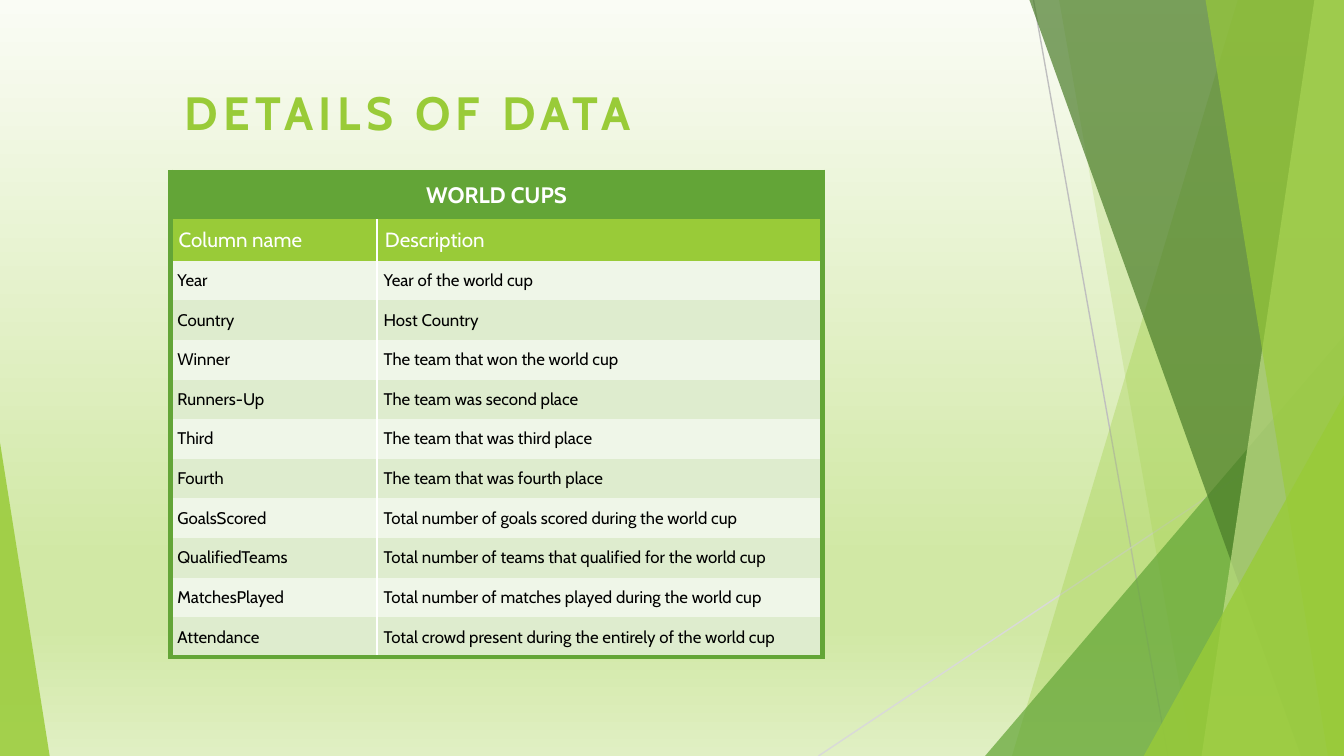
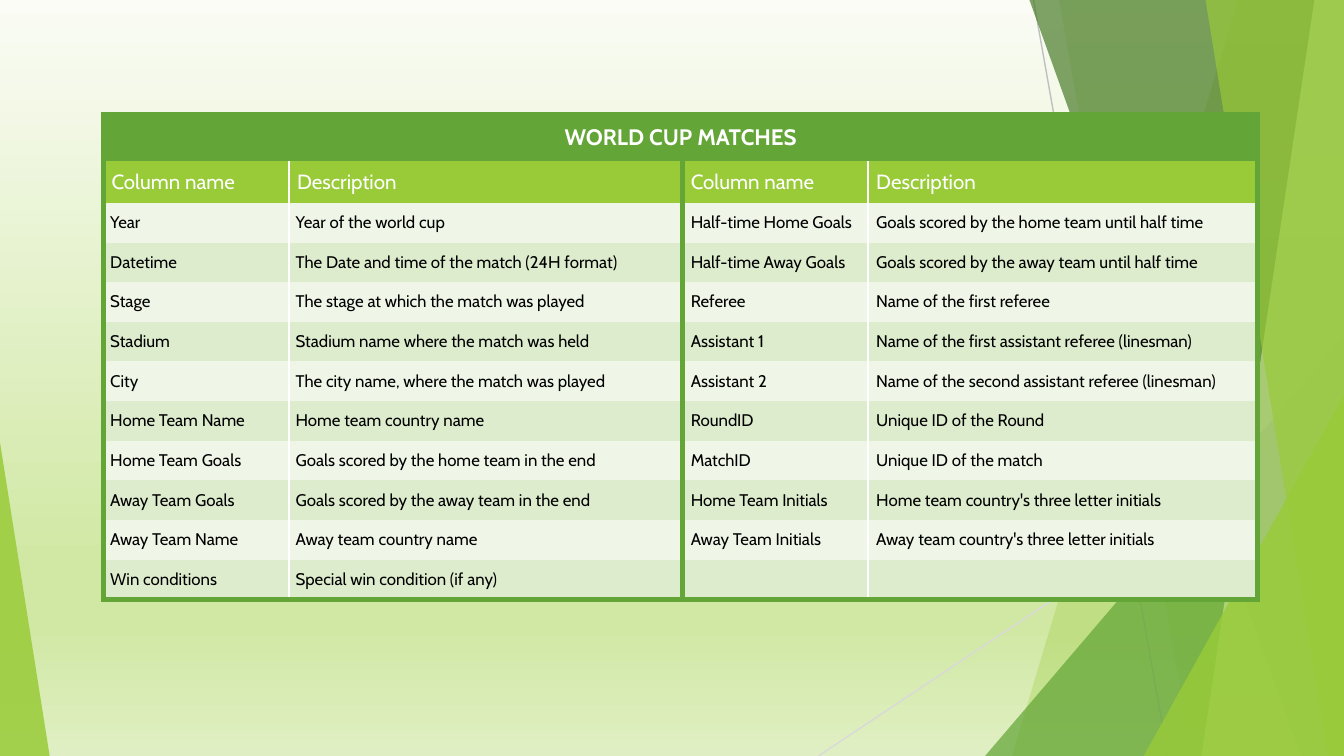
from dataclasses import dataclass

from lxml import etree
from pptx import Presentation
from pptx.dml.color import RGBColor
from pptx.enum.shapes import MSO_CONNECTOR, MSO_SHAPE
from pptx.enum.text import MSO_ANCHOR, MSO_AUTO_SIZE, PP_ALIGN
from pptx.oxml.ns import qn
from pptx.util import Pt

STRAIGHT = MSO_CONNECTOR.STRAIGHT
TRIANGLE = MSO_SHAPE.ISOSCELES_TRIANGLE
MIDDLE = MSO_ANCHOR.MIDDLE
LEFT, CENTER = PP_ALIGN.LEFT, PP_ALIGN.CENTER
NO_FIT = MSO_AUTO_SIZE.NONE

EMU_PER_PX = 4572
W, H = 2000, 1125
TITLE_ONLY, BLANK = 5, 6
PLAIN_TABLE = "{2D5ABB26-0587-4C30-8999-92F81FD0307C}"


@dataclass(frozen=True)
class Theme:
    font: str = "Cabin"
    lime: str = "99CB38"
    green: str = "63A537"
    forest: str = "4A7C29"
    pale: str = "C2E088"
    white: str = "FFFFFF"
    black: str = "000000"
    bands: tuple = ("EFF6E8", "DEECCE")
    rays: tuple = ("BFBFBF", "D9D9D9")
    backdrop: tuple = ((0, "FAFCF5"), (74, "D1E8A5"), (83, "D1E8A5"), (100, "E0EFC3"))
    title_size: int = 25
    caption_size: int = 12
    header_size: int = 11
    body_size: int = 9


T = Theme()

CUP_COLUMNS = [
    ("Year", "Year of the world cup"),
    ("Country", "Host Country"),
    ("Winner", "The team that won the world cup"),
    ("Runners-Up", "The team was second place"),
    ("Third", "The team that was third place"),
    ("Fourth", "The team that was fourth place"),
    ("GoalsScored", "Total number of goals scored during the world cup"),
    ("QualifiedTeams", "Total number of teams that qualified for the world cup"),
    ("MatchesPlayed", "Total number of matches played during the world cup"),
    ("Attendance", "Total crowd present during the entirely of the world cup"),
]

MATCH_COLUMNS = [
    ("Year", "Year of the world cup",
     "Half-time Home Goals", "Goals scored by the home team until half time"),
    ("Datetime", "The Date and time of the match (24H format)",
     "Half-time Away Goals", "Goals scored by the away team until half time"),
    ("Stage", "The stage at which the match was played",
     "Referee", "Name of the first referee"),
    ("Stadium", "Stadium name where the match was held",
     "Assistant 1", "Name of the first assistant referee (linesman)"),
    ("City", "The city name, where the match was played",
     "Assistant 2", "Name of the second assistant referee (linesman)"),
    ("Home Team Name", "Home team country name",
     "RoundID", "Unique ID of the Round"),
    ("Home Team Goals", "Goals scored by the home team in the end",
     "MatchID", "Unique ID of the match"),
    ("Away Team Goals", "Goals scored by the away team in the end",
     "Home Team Initials", "Home team country's three letter initials"),
    ("Away Team Name", "Away team country name",
     "Away Team Initials", "Away team country's three letter initials"),
    ("Win conditions", "Special win condition (if any)", "", ""),
]


def px(n):
    return n * EMU_PER_PX


def rgb(color):
    return RGBColor.from_string(color)


def set_text(tf, text, size, color, bold=False, align=LEFT, before=0, after=0, spacing=0):
    p = tf.paragraphs[0]
    p.alignment = align
    p.space_before, p.space_after = Pt(before), Pt(after)
    if not text:
        etree.SubElement(p._p, qn("a:endParaRPr"), sz=str(size * 100))
        return
    r = p.add_run()
    r.text = text
    r.font.name, r.font.size, r.font.bold = T.font, Pt(size), bold
    r.font.color.rgb = rgb(color)
    if spacing:
        r._r.get_or_add_rPr().set("spc", str(spacing * 100))


def set_margins(box, x, y):
    box.margin_left = box.margin_right = px(x)
    box.margin_top = box.margin_bottom = px(y)


def set_backdrop(master):
    fill = master.background.fill
    fill.gradient()
    fill.gradient_angle = 270
    stops = next(master._element.iter(qn("a:gsLst")))
    for gs in list(stops):
        stops.remove(gs)
    for pos, color in T.backdrop:
        gs = etree.SubElement(stops, qn("a:gs"), pos=str(pos * 1000))
        etree.SubElement(gs, qn("a:srgbClr"), val=color)


def paint(sp, color, opacity):
    sp.shadow.inherit = False
    sp.line.fill.background()
    sp.fill.solid()
    sp.fill.fore_color.rgb = rgb(color)
    clr = sp._element.spPr.find(qn("a:solidFill"))[0]
    etree.SubElement(clr, qn("a:alpha"), val=str(opacity * 1000))


def add_ray(shapes, x1, y1, x2, y2, color):
    ray = shapes.add_connector(STRAIGHT, px(x1), px(y1), px(x2), px(y2))
    ray.line.color.rgb = rgb(color)
    ray.line.width = Pt(0.75)
    etree.SubElement(ray._element.spPr, qn("a:effectLst"))


def add_panel(shapes, top_x, bottom_x, color, opacity):
    fb = shapes.build_freeform(top_x, 0, scale=EMU_PER_PX)
    fb.add_line_segments([(W, 0), (W, H), (bottom_x, H)], close=True)
    paint(fb.convert_to_shape(), color, opacity)


def add_corner(shapes, x, y, w, apex, color, opacity):
    sp = shapes.add_shape(TRIANGLE, px(x), px(y), px(w), px(H - y))
    sp.adjustments[0] = apex
    paint(sp, color, opacity)


def decorate_master(master, s):
    set_backdrop(master)
    group = s.shapes.add_group_shape()
    shapes = group.shapes
    add_ray(shapes, 1538, 0, 1738, H, T.rays[0])
    add_ray(shapes, W, 604, 1218, H, T.rays[1])
    add_panel(shapes, 1842, 1506, T.lime, 30)
    add_panel(shapes, 1576, 1774, T.lime, 20)
    add_corner(shapes, 1466, 500, 534, 1, T.green, 72)
    add_panel(shapes, 1532, 1936, T.forest, 70)
    add_panel(shapes, 1956, 1788, T.pale, 70)
    add_panel(shapes, 1794, 1976, T.lime, 65)
    add_corner(shapes, 1702, 588, 298, 1, T.lime, 80)
    add_corner(shapes, 0, 658, 74, 0, T.lime, 85)
    for i, props in enumerate(group._element.iter(qn("p:cNvPr"))):
        props.set("id", str(100 + i))
    master.shapes._spTree.insert(2, group._element)


def add_title(s, text):
    sp = s.shapes.title
    sp.left, sp.top, sp.width, sp.height = px(254), px(100), px(720), px(132)
    tf = sp.text_frame
    tf.word_wrap, tf.auto_size, tf.vertical_anchor = True, NO_FIT, MIDDLE
    set_margins(tf, 20, 20)
    set_text(tf, text, T.title_size, T.lime, bold=True, spacing=3)


def set_border(cell, side, color, width):
    ln = etree.SubElement(cell._tc.get_or_add_tcPr(), qn(f"a:ln{side}"), w=str(Pt(width)))
    fill = etree.SubElement(ln, qn("a:solidFill"))
    etree.SubElement(fill, qn("a:srgbClr"), val=color)


def style_cell(cell, row, col, last_row):
    outer, inner = (T.green, 3), (T.white, 1)
    if row == 0:
        inner = outer
    set_border(cell, "L", *(inner if col % 2 else outer))
    set_border(cell, "R", *(outer if col % 2 else inner))
    if row == 0:
        set_border(cell, "T", *outer)
    if row == last_row:
        set_border(cell, "B", *outer)
    cell.fill.solid()
    cell.fill.fore_color.rgb = rgb((T.green, T.lime)[row] if row < 2 else T.bands[row % 2])
    cell.vertical_anchor = MIDDLE
    if row < 2:
        set_margins(cell, 12, 8)
    else:
        set_margins(cell, 10 if col < 2 else 12, 0)


def add_dictionary(s, x, y, widths, caption, records):
    n = len(widths)
    heights = [70, 62] + [59] * len(records)
    headers = ("Column name", "Description") * (n // 2)
    frame = s.shapes.add_table(len(heights), n, px(x), px(y), px(sum(widths)), px(sum(heights)))
    table = frame.table
    table.first_row = table.horz_banding = False
    table._tbl.tblPr.find(qn("a:tableStyleId")).text = PLAIN_TABLE
    for column, width in zip(table.columns, widths):
        column.width = px(width)
    for row, height in zip(table.rows, heights):
        row.height = px(height)
    for i in range(len(heights)):
        for j in range(n):
            style_cell(table.cell(i, j), i, j, len(heights) - 1)
    table.cell(0, 0).merge(table.cell(0, n - 1))
    set_text(table.cell(0, 0).text_frame, caption, T.caption_size, T.white,
             bold=True, align=CENTER)
    for j, header in enumerate(headers):
        set_text(table.cell(1, j).text_frame, header, T.header_size, T.white)
    for i, record in enumerate(records, 2):
        for j, text in enumerate(record):
            set_text(table.cell(i, j).text_frame, text, T.body_size, T.black,
                     before=6, after=4.5)


def main():
    prs = Presentation()
    prs.slide_width, prs.slide_height = px(W), px(H)

    s = prs.slides.add_slide(prs.slide_layouts[TITLE_ONLY])
    decorate_master(prs.slide_master, s)
    add_title(s, "DETAILS OF DATA")
    add_dictionary(s, 254, 256, (307, 663), "WORLD CUPS", CUP_COLUMNS)

    s = prs.slides.add_slide(prs.slide_layouts[BLANK])
    add_dictionary(s, 154, 170, (276, 586, 276, 580), "WORLD CUP MATCHES", MATCH_COLUMNS)

    prs.save("out.pptx")


if __name__ == "__main__":
    main()
